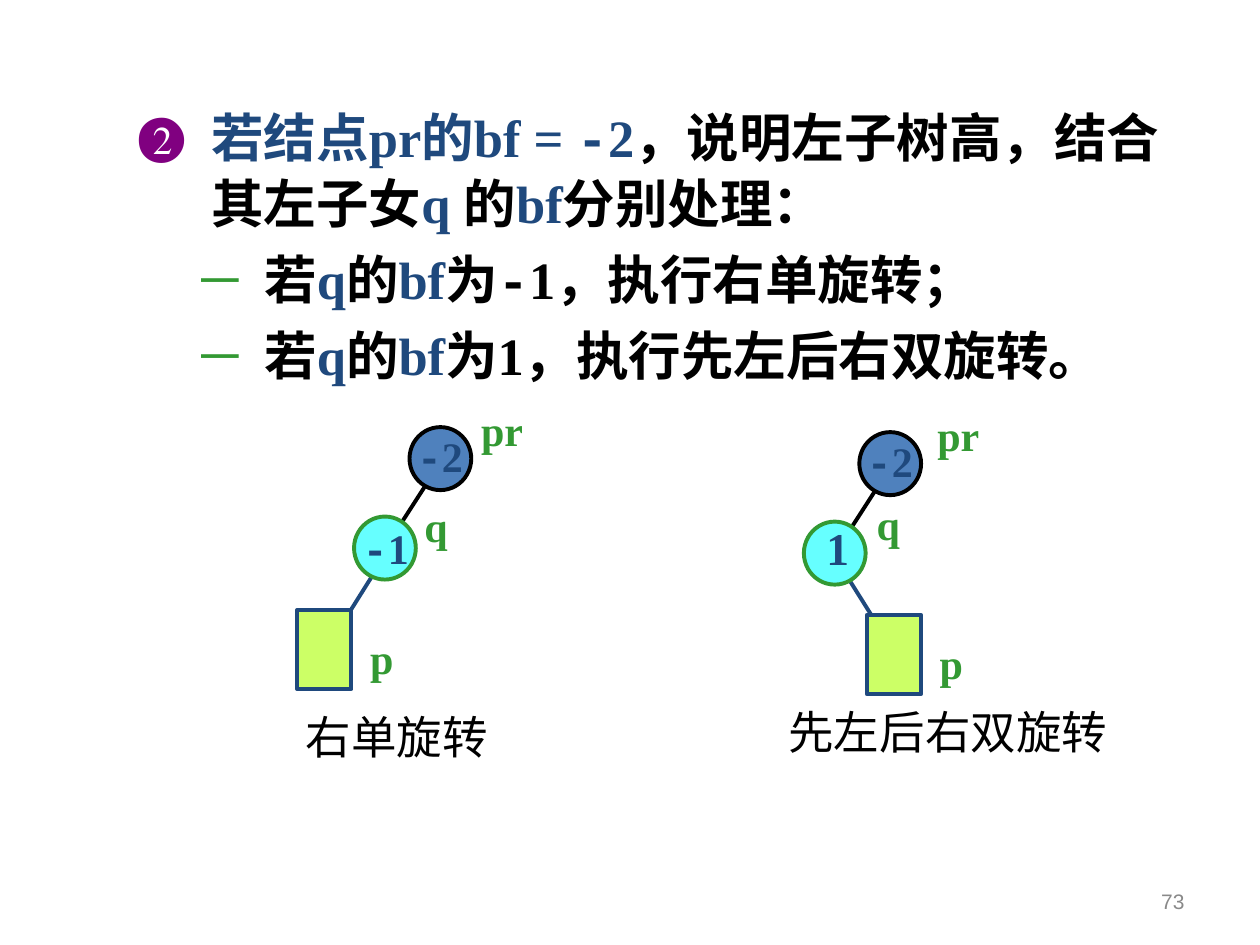
import pptx
import pptx.dml.color
import pptx.enum.lang
import pptx.enum.shapes
import pptx.enum.text
import pptx.oxml.ns
import pptx.util
from lxml import etree

Inches = pptx.util.Inches
Pt = pptx.util.Pt
Color = pptx.dml.color.RGBColor
Shape = pptx.enum.shapes.MSO_SHAPE
Text = pptx.enum.text

NAVY = Color(0x1F, 0x49, 0x7D)
BLUE = Color(0x4F, 0x81, 0xBD)
CYAN = Color(0x66, 0xFF, 0xFF)
LIME = Color(0xCC, 0xFF, 0x66)
GREEN = Color(0x33, 0x99, 0x33)
PURPLE = Color(0x80, 0x00, 0x80)
BLACK = Color(0, 0, 0)
GRAY = Color(0x89, 0x89, 0x89)

SERIF, MONO, SANS = "Times New Roman", "Courier New", "Arial"
DASH = ("-", MONO)


class Board:
    stroke = Pt(2.25)

    def __init__(self, slide):
        self.slide = slide
        self.shapes = slide.shapes

    def apply(self, item, **values):
        for name, value in values.items():
            setattr(item, name, value)

    def runs(self, para, parts, size, bold, color):
        for words, face, *tint in parts:
            run = para.add_run()
            run.text = words
            self.apply(run.font, size=Pt(size), bold=bold, name=face,
                       language_id=pptx.enum.lang.MSO_LANGUAGE_ID.SIMPLIFIED_CHINESE)
            run.font.color.rgb = tint[0] if tint else color

    def frame(self, x, y, w, h, **values):
        frame = self.shapes.add_textbox(*map(Inches, (x, y, w, h))).text_frame
        self.apply(frame, **{"word_wrap": True, **values})
        return frame

    def label(self, x, y, w, parts, color=GREEN, size=24, bold=True, h=0.5):
        frame = self.frame(x, y, w, h, word_wrap=False)
        self.runs(frame.paragraphs[0], parts, size, bold, color)

    def bullet(self, para, mark, color, left, hang):
        props = para._p.get_or_add_pPr()
        props.set("marL", str(Inches(left)))
        props.set("indent", str(Inches(-hang)))
        tag = pptx.oxml.ns.qn
        tint = etree.SubElement(props, tag("a:buClr"))
        etree.SubElement(tint, tag("a:srgbClr")).set("val", str(color))
        etree.SubElement(props, tag("a:buFont")).set("typeface", SERIF)
        etree.SubElement(props, tag("a:buChar")).set("char", mark)

    def shape(self, kind, x, y, w, h, fill, edge):
        shape = self.shapes.add_shape(kind, *map(Inches, (x, y, w, h)))
        shape.shadow.inherit = False
        shape.fill.solid()
        shape.fill.fore_color.rgb = fill
        shape.line.color.rgb = edge
        shape.line.width = self.stroke

    def node(self, x, y, fill, edge):
        self.shape(Shape.OVAL, x, y, 0.49, 0.5, fill, edge)

    def line(self, x, y, dx, dy, color):
        line = self.shapes.add_connector(
            pptx.enum.shapes.MSO_CONNECTOR.STRAIGHT,
            *map(Inches, (x, y, x + dx, y + dy)))
        line.line.color.rgb = color
        line.line.width = self.stroke
        etree.SubElement(line._element.spPr, pptx.oxml.ns.qn("a:effectLst"))

    def tree(self, x, y, edge, child, root, name, value):
        self.shapes = self.slide.shapes.add_group_shape().shapes
        self.line(x + edge[0], y + 1.06, edge[1], 0.59, NAVY)
        self.line(x + 0.2, y + 0.35, -0.38, 0.59, BLACK)
        self.node(x, y, BLUE, BLACK)
        self.label(x - 0.04, y - 0.02, 0.6, [DASH, ("2", SERIF)], NAVY)
        self.node(x - 0.44, y + 0.71, CYAN, GREEN)
        dx, dy, width, parts, size = value
        self.label(x + dx, y + dy, width, parts, NAVY, size)
        self.label(x + root, y - 0.23, 0.55, [("pr", SERIF)])
        self.label(x + name[0], y + name[1], 0.4, [("q", SERIF)])
        self.label(x + child + 0.48, y + 1.58, 0.4, [("p", SERIF)])
        self.shape(Shape.RECTANGLE, x + child, y + 1.45, 0.43, 0.63, LIME, NAVY)
        self.shapes = self.slide.shapes

    def body(self, items):
        frame = self.frame(0.5, 0.76, 9, 6.18)
        for i, (style, space, parts) in enumerate(items):
            para = frame.add_paragraph() if i else frame.paragraphs[0]
            self.bullet(para, *style)
            self.apply(para, **space)
            self.runs(para, parts, 30, True, BLACK)


def main():
    deck = pptx.Presentation()
    deck.slide_width, deck.slide_height = Inches(10), Inches(7.5)
    board = Board(deck.slides.add_slide(deck.slide_layouts[6]))

    q, bf = ("q", SERIF, NAVY), ("bf", SERIF, NAVY)
    lead = [("若", SERIF), q, ("的", SERIF), bf]
    sub = ("─", GREEN, 1.5, 0.5)
    gap = {"space_before": Pt(7.5)}
    board.body([
        (("❷", PURPLE, 1.08, 0.58), {"line_spacing": 1.05}, [
            ("若结点pr的bf = ", SERIF, NAVY), (*DASH, NAVY), ("2", SERIF, NAVY),
            ("，说明左子树高，结合其左子女", SERIF), ("q ", SERIF, NAVY),
            ("的", SERIF), bf, ("分别处理：", SERIF)]),
        (sub, gap, [*lead, ("为", SERIF), DASH, ("1，执行右单旋转；", SERIF)]),
        (sub, gap, [*lead, ("为1，执行先左后右双旋转。", SERIF)]),
    ])

    page = board.frame(7.17, 6.95, 2.33, 0.4,
                       vertical_anchor=Text.MSO_ANCHOR.MIDDLE)
    page.paragraphs[0].alignment = Text.PP_ALIGN.RIGHT
    board.runs(page.paragraphs[0], [("73", SANS)], 12, False, GRAY)

    board.tree(3.25, 3.39, (-0.22, -0.37), -0.89, 0.47, (0.02, 0.53),
               (-0.47, 0.71, 0.6, [DASH, ("1", SERIF)], 24))
    board.tree(6.82, 3.43, (-0.15, 0.37), 0.06, 0.52, (0.04, 0.48),
               (-0.36, 0.65, 0.4, [("1", SERIF)], 26))

    for x, y, width, words in ((2.33, 5.58, 1.7, "右单旋转"),
                               (6.16, 5.54, 2.8, "先左后右双旋转")):
        board.label(x, y, width, [(words, SANS)], BLACK, 26, False, 0.54)

    deck.save("out.pptx")


if __name__ == "__main__":
    main()
